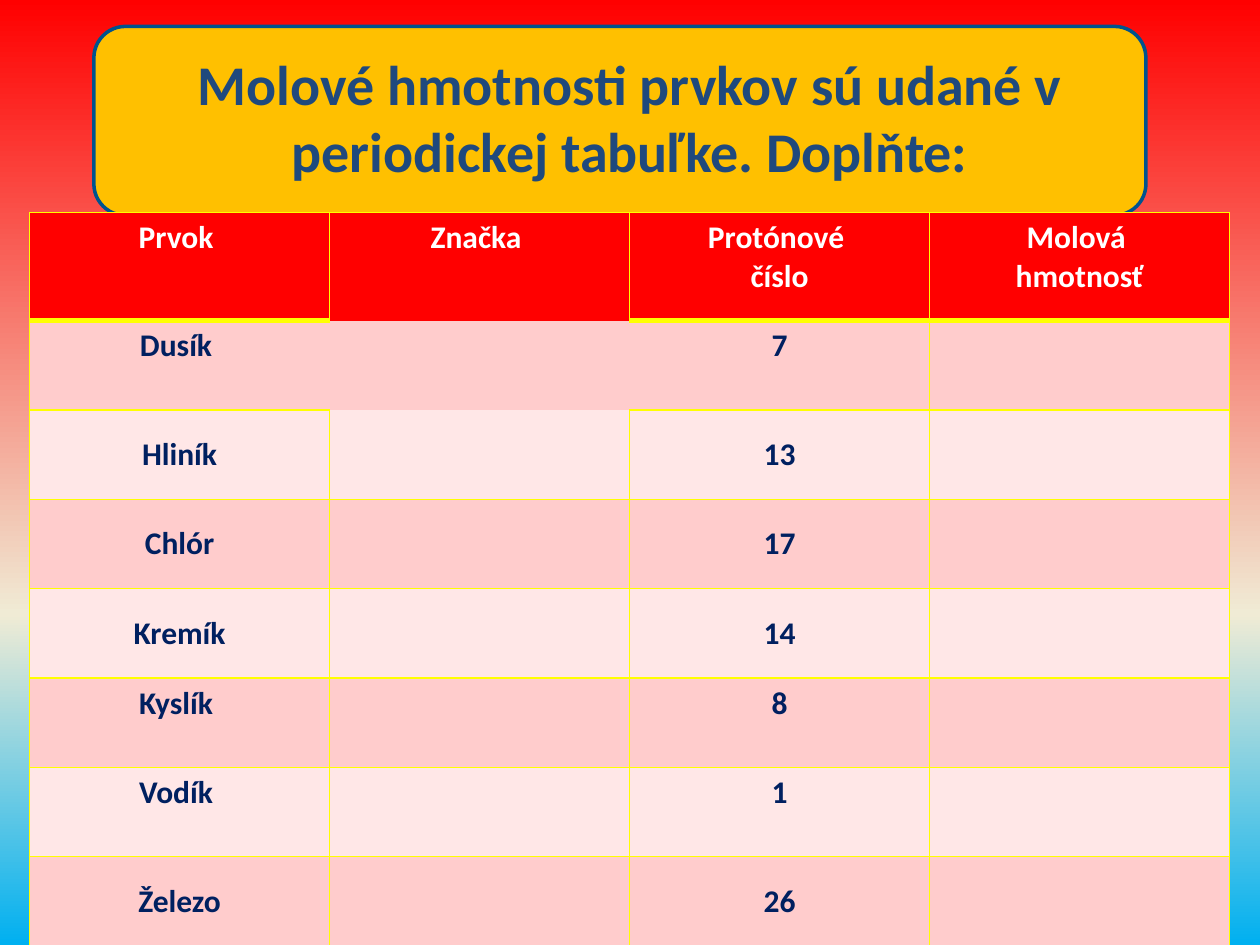
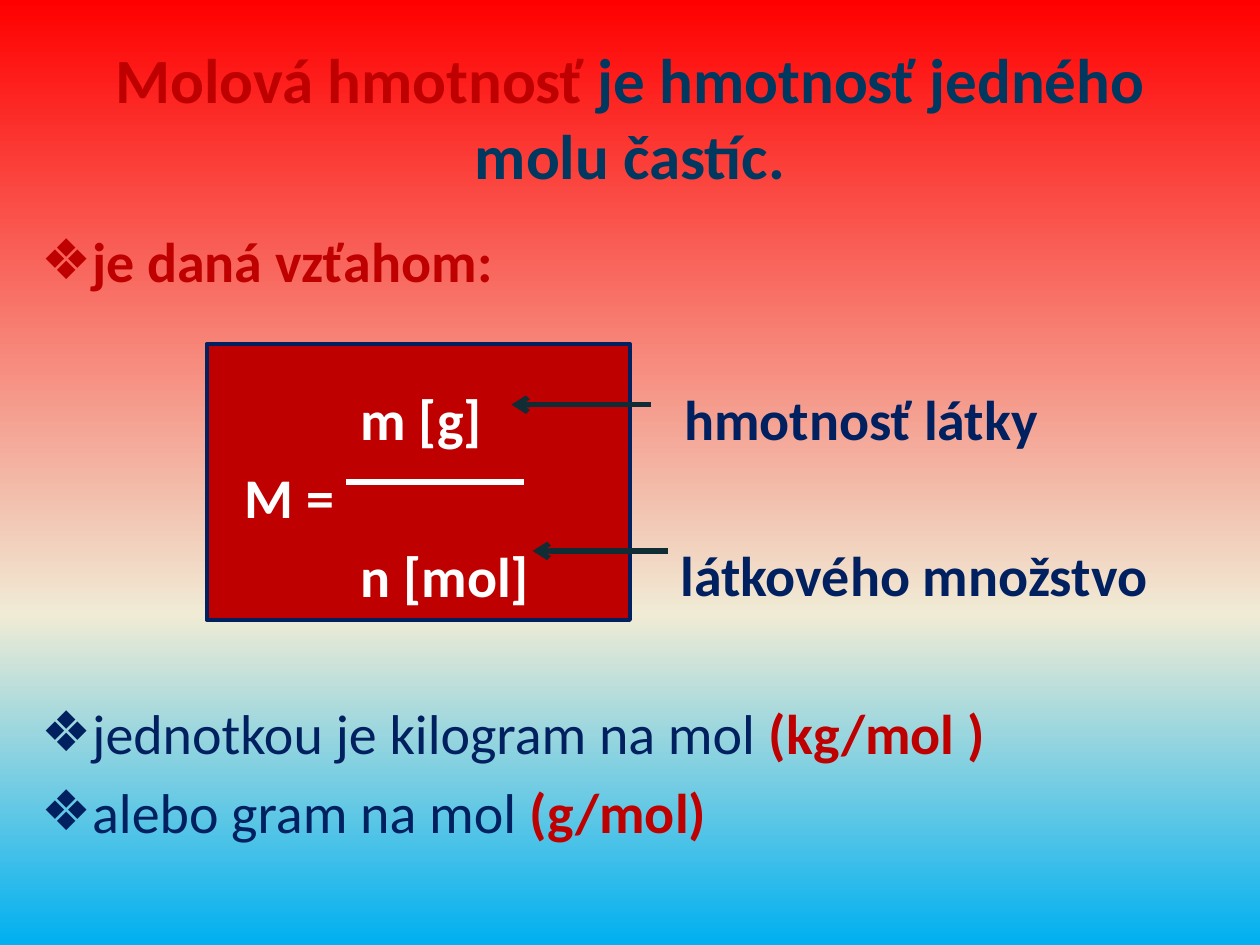
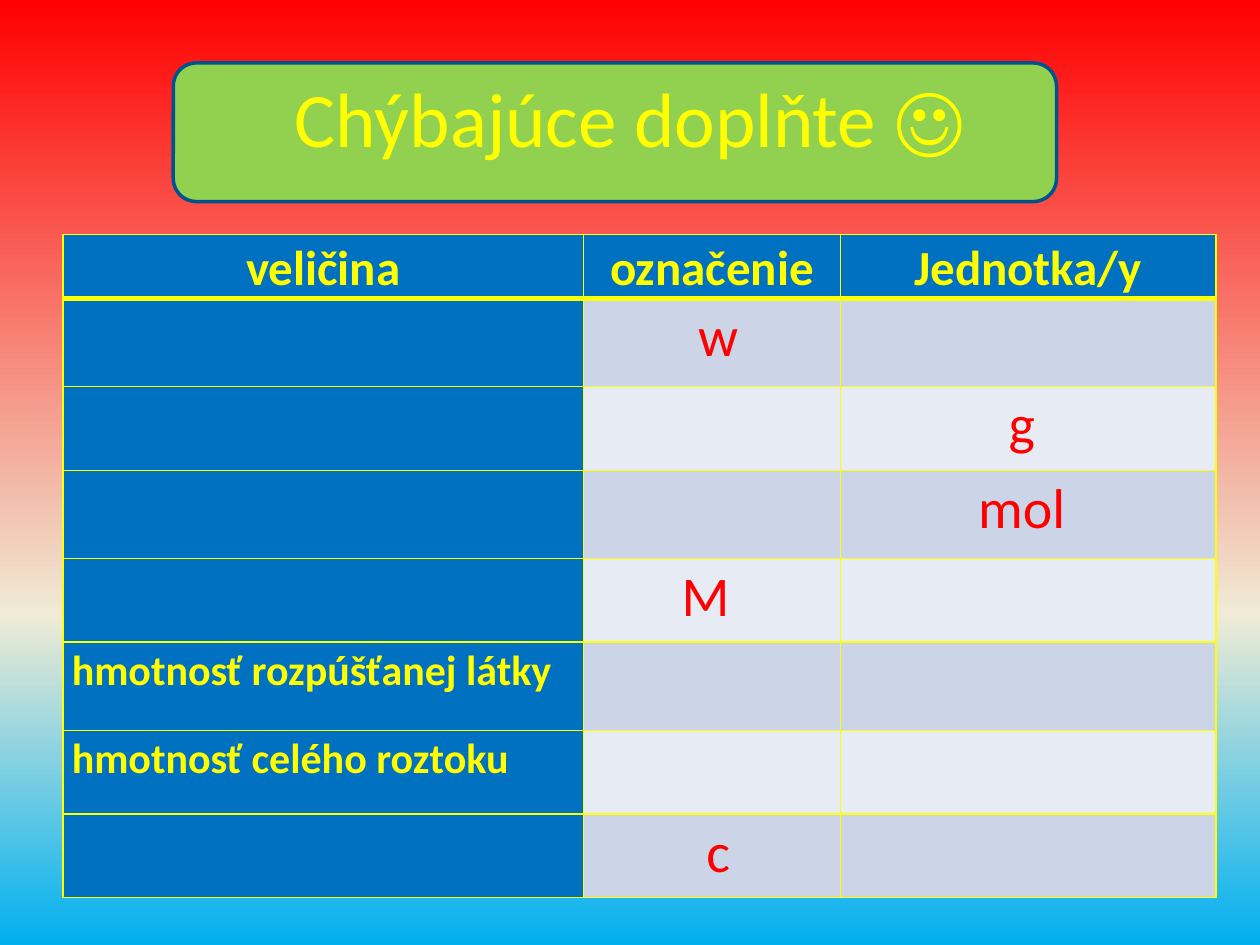
from dataclasses import dataclass

from lxml import etree
from pptx import Presentation
from pptx.dml.color import RGBColor
from pptx.enum.shapes import MSO_CONNECTOR, MSO_SHAPE
from pptx.enum.text import MSO_ANCHOR, MSO_AUTO_SIZE, PP_ALIGN
from pptx.oxml.ns import qn
from pptx.util import Inches, Pt

LEFT, CENTER = PP_ALIGN.LEFT, PP_ALIGN.CENTER
TOP, MIDDLE = MSO_ANCHOR.TOP, MSO_ANCHOR.MIDDLE
RECT, ROUNDED = MSO_SHAPE.RECTANGLE, MSO_SHAPE.ROUNDED_RECTANGLE
STRAIGHT = MSO_CONNECTOR.STRAIGHT
FIXED_SIZE = MSO_AUTO_SIZE.NONE
TITLE_AND_BODY, TITLE_ONLY = 1, 5
COLUMNS, ROWS = 100, 75
CELL = Inches(0.1)


class Theme:
    font = "Calibri"
    sky = ((0, "FF0000"), (65, "F0EBD5"), (100, "00B0F0"))
    red, dark_red, pink, pale_pink = "FF0000", "BF0000", "FFCCCC", "FFE7E7"
    navy, title_blue, deep_blue, edge_blue = "002060", "1F497D", "003860", "00538E"
    blue, mist, pale_mist = "0070C0", "CCD5E8", "E7EBF4"
    white, yellow, amber, green, arrow = "FFFFFF", "FFFF00", "FFC000", "92D050", "102C34"
    small, label, heading, body, title, big = 18, 24, 28, 32, 36, 44
    line_gap, blank_line_gap = 6.4, 51.6


@dataclass
class Box:
    """An area measured in grid columns and rows."""
    left: float
    top: float
    width: float
    height: float

    def emu(self):
        return [round(value * CELL) for value in (self.left, self.top, self.width, self.height)]

    def point(self, across, down):
        return (round((self.left + across * self.width) * CELL),
                round((self.top + down * self.height) * CELL))


TITLE_BOX = Box(5, 3, 90, 12.5)


# Shared helpers
def rgb(code):
    return RGBColor.from_string(code)


def style_font(font, size, color, bold=False):
    font.name, font.size, font.bold = Theme.font, Pt(size), bold
    font.color.rgb = rgb(color)


def add_child(parent, tag, **attributes):
    return etree.SubElement(parent, qn(tag), attributes)


def paint_background(master):
    fill = master.background.fill
    fill.gradient()
    fill.gradient_angle = 270
    stops = fill._fill._gradFill.find(qn("a:gsLst"))
    for stop in list(stops):
        stops.remove(stop)
    for position, color in Theme.sky:
        stop = add_child(stops, "a:gs", pos=str(position * 1000))
        add_child(stop, "a:srgbClr", val=color)


def add_panel(page, kind, box, fill, edge, weight):
    """Places a filled shape behind everything else on the page."""
    panel = page.shapes.add_shape(kind, *box.emu())
    panel.shadow.inherit = False
    panel.fill.solid()
    panel.fill.fore_color.rgb = rgb(fill)
    panel.line.color.rgb = rgb(edge)
    panel.line.width = Pt(weight)
    page.shapes._spTree.insert(2, panel._element)


def move_placeholder(shape, box):
    shape.left, shape.top, shape.width, shape.height = box.emu()
    shape.text_frame.word_wrap = True
    shape.text_frame.auto_size = FIXED_SIZE
    return shape.text_frame


def add_spans(para, spans):
    for text, color, bold in spans:
        span = para.add_run()
        span.text = text
        span.font.color.rgb = rgb(color)
        span.font.bold = bold


def write_title(page, spans, size):
    frame = move_placeholder(page.shapes.title, TITLE_BOX)
    frame.vertical_anchor = MIDDLE
    para = frame.paragraphs[0]
    para.alignment = CENTER
    para.font.name, para.font.size = Theme.font, Pt(size)
    add_spans(para, spans)


def add_line(page, start, end, color, arrow=False):
    line = page.shapes.add_connector(STRAIGHT, *start, *end)
    line.line.color.rgb = rgb(color)
    line.line.width = Pt(3)
    if arrow:
        add_child(line.line._get_or_add_ln(), "a:tailEnd", type="arrow")
    add_child(line._element.spPr, "a:effectLst")


# Tables
def add_grid(page, box, columns, rows):
    frame = page.shapes.add_table(len(rows), len(columns), *box.emu())
    table = frame.table
    table.first_row = table.horz_banding = False
    for column, width in zip(table.columns, columns):
        column.width = round(width * CELL)
    for row, height in zip(table.rows, rows):
        row.height = round(height * CELL)
    return table


def fill_cell(cell, text, fill, size, color, bold, align=CENTER, spacing=None):
    cell.fill.solid()
    cell.fill.fore_color.rgb = rgb(fill)
    cell.text = text
    for para in cell.text_frame.paragraphs:
        para.alignment = align
        para.line_spacing = spacing
        style_font(para.font, size, color, bold)


def border_cell(cell, row, column, open_cell=None):
    """Yellow borders, thick below the header; none around the open cell."""
    neighbours = {"L": (row, column - 1), "R": (row, column + 1),
                  "T": (row - 1, column), "B": (row + 1, column)}
    properties = cell._tc.get_or_add_tcPr()
    for index, (side, neighbour) in enumerate(neighbours.items()):
        thick = (row, side) in ((0, "B"), (1, "T"))
        line = etree.Element(qn(f"a:ln{side}"), w=str(Pt(3 if thick else 1)))
        if open_cell and open_cell in ((row, column), neighbour):
            add_child(line, "a:noFill")
        else:
            add_child(add_child(line, "a:solidFill"), "a:srgbClr", val=Theme.yellow)
        properties.insert(index, line)


def element_table(page, box):
    header = ("Prvok ", "Značka ", "Protónové \nčíslo", "Molová \nhmotnosť")
    elements = (("Dusík ", 7, TOP), ("Hliník", 13, MIDDLE), ("Chlór", 17, MIDDLE),
                ("Kremík", 14, MIDDLE), ("Kyslík ", 8, TOP), ("Vodík ", 1, TOP),
                ("Železo", 26, MIDDLE))
    head_height = 8.6
    row_height = (box.height - head_height) / len(elements)
    table = add_grid(page, box, [box.width / len(header)] * len(header),
                     [head_height] + [row_height] * len(elements))
    lines = [(header, TOP)] + [((name, "", str(number), ""), anchor)
                               for name, number, anchor in elements]
    for row, (texts, anchor) in enumerate(lines):
        fill = Theme.red if row == 0 else (Theme.pale_pink, Theme.pink)[row % 2]
        color = Theme.navy if row else Theme.white
        for column, text in enumerate(texts):
            cell = table.cell(row, column)
            cell.vertical_anchor = anchor
            fill_cell(cell, text, fill, Theme.small, color, True)
            border_cell(cell, row, column, open_cell=(1, 1))


def quantity_table(page, box):
    lines = (("veličina", "označenie", "Jednotka/y"),
             ("", " w", ""), ("", "", "g "), ("", "", "mol "), ("", "M ", ""),
             ("hmotnosť rozpúšťanej látky", "", ""),
             ("hmotnosť celého roztoku", "", ""), ("", " c", ""))
    tall, low = 7, 6.64
    table = add_grid(page, box, (41.3, 20.4, 29.8), (5, tall, low, tall, low, tall, low, low))
    for row, texts in enumerate(lines):
        for column, text in enumerate(texts):
            cell = table.cell(row, column)
            cell.margin_left = cell.margin_right = Inches(0.07)
            cell.margin_top = cell.margin_bottom = 0
            if row == 0:
                look = (Theme.blue, Theme.heading, Theme.yellow, True)
            elif column == 0:
                look = (Theme.blue, Theme.label, Theme.yellow, True, LEFT)
            else:
                band = (Theme.pale_mist, Theme.mist)[row % 2]
                look = (band, Theme.body, Theme.red, False)
            fill_cell(cell, text, *look, spacing=1.07)
            border_cell(cell, row, column)


# Formula slide parts
def formula_panel(page, box):
    add_panel(page, RECT, box, Theme.dark_red, Theme.navy, 2.25)
    add_line(page, box.point(0.33, 0.5), box.point(0.75, 0.5), Theme.white)
    for start, end, down in ((1.05, 0.72, 0.22), (1.09, 0.77, 0.75)):
        add_line(page, box.point(start, down), box.point(end, down), Theme.arrow, arrow=True)


def formula_label(page, box, text):
    frame = page.shapes.add_textbox(*box.emu()).text_frame
    frame.word_wrap = True
    frame.margin_left = frame.margin_right = frame.margin_top = frame.margin_bottom = 0
    para = frame.paragraphs[0]
    para.text = text
    style_font(para.font, Theme.body, Theme.navy, True)


def format_line(para, bullet, indent):
    properties = para._p.get_or_add_pPr()
    properties.set("marL", str(Inches(indent)))
    properties.set("indent", str(-Inches(indent) if bullet else 0))
    if bullet:
        add_child(properties, "a:buChar", char="❖")
    else:
        add_child(properties, "a:buNone")
    para.font.name, para.font.size = Theme.font, Pt(Theme.body)


def formula_text(page, box):
    red, white, navy = Theme.dark_red, Theme.white, Theme.navy
    near, gap = Theme.line_gap, Theme.blank_line_gap
    hanging, fraction, symbol = 0.38, 2.53, 1.61
    lines = (
        (0, True, hanging, [("je daná vzťahom:", red, True)]),
        (gap, False, fraction, [("m [g]", white, True)]),
        (near, False, symbol, [("M =", white, True)]),
        (near, False, fraction, [("n [mol]", white, True)]),
        (gap, True, hanging,
         [("jednotkou je kilogram na mol ", navy, False), ("(kg/mol )", red, True)]),
        (near, True, hanging, [("alebo gram na mol ", navy, False), ("(g/mol)", red, True)]),
    )
    frame = move_placeholder(page.placeholders[1], box)
    for number, (space, bullet, indent, spans) in enumerate(lines):
        para = frame.add_paragraph() if number else frame.paragraphs[0]
        format_line(para, bullet, indent)
        para.space_before = Pt(space)
        add_spans(para, spans)


# Slides
def element_slide(page):
    add_panel(page, ROUNDED, Box(7.45, 2.1, 83.5, 15), Theme.amber, Theme.edge_blue, 2)
    write_title(page, [("Molové hmotnosti prvkov sú udané v periodickej tabuľke. Doplňte:",
                        Theme.title_blue, True)], Theme.body)
    element_table(page, Box(2.35, 16.85, 95.25, 58.25))


def formula_slide(page):
    write_title(page, [("Molová hmotnosť ", Theme.dark_red, True),
                       ("je hmotnosť jedného molu častíc.", Theme.deep_blue, True)], Theme.title)
    formula_text(page, Box(2.33, 17.5, 95.3, 55.2))
    formula_panel(page, Box(16.4, 27.3, 33.6, 21.9))
    formula_label(page, Box(54.3, 30.5, 40, 5.5), "hmotnosť látky")
    formula_label(page, Box(54, 42.9, 40, 5.5), "látkového množstvo")


def quantity_slide(page):
    add_panel(page, ROUNDED, Box(13.75, 5, 70.1, 11), Theme.green, Theme.edge_blue, 2)
    write_title(page, [("Chýbajúce doplňte ☺", Theme.yellow, False)], Theme.big)
    quantity_table(page, Box(5, 18.6, 91.5, 52.5))


def main():
    deck = Presentation()
    deck.slide_width, deck.slide_height = COLUMNS * CELL, ROWS * CELL
    paint_background(deck.slide_master)
    for layout, build in ((TITLE_ONLY, element_slide), (TITLE_AND_BODY, formula_slide),
                          (TITLE_ONLY, quantity_slide)):
        build(deck.slides.add_slide(deck.slide_layouts[layout]))
    deck.save("out.pptx")


if __name__ == "__main__":
    main()
